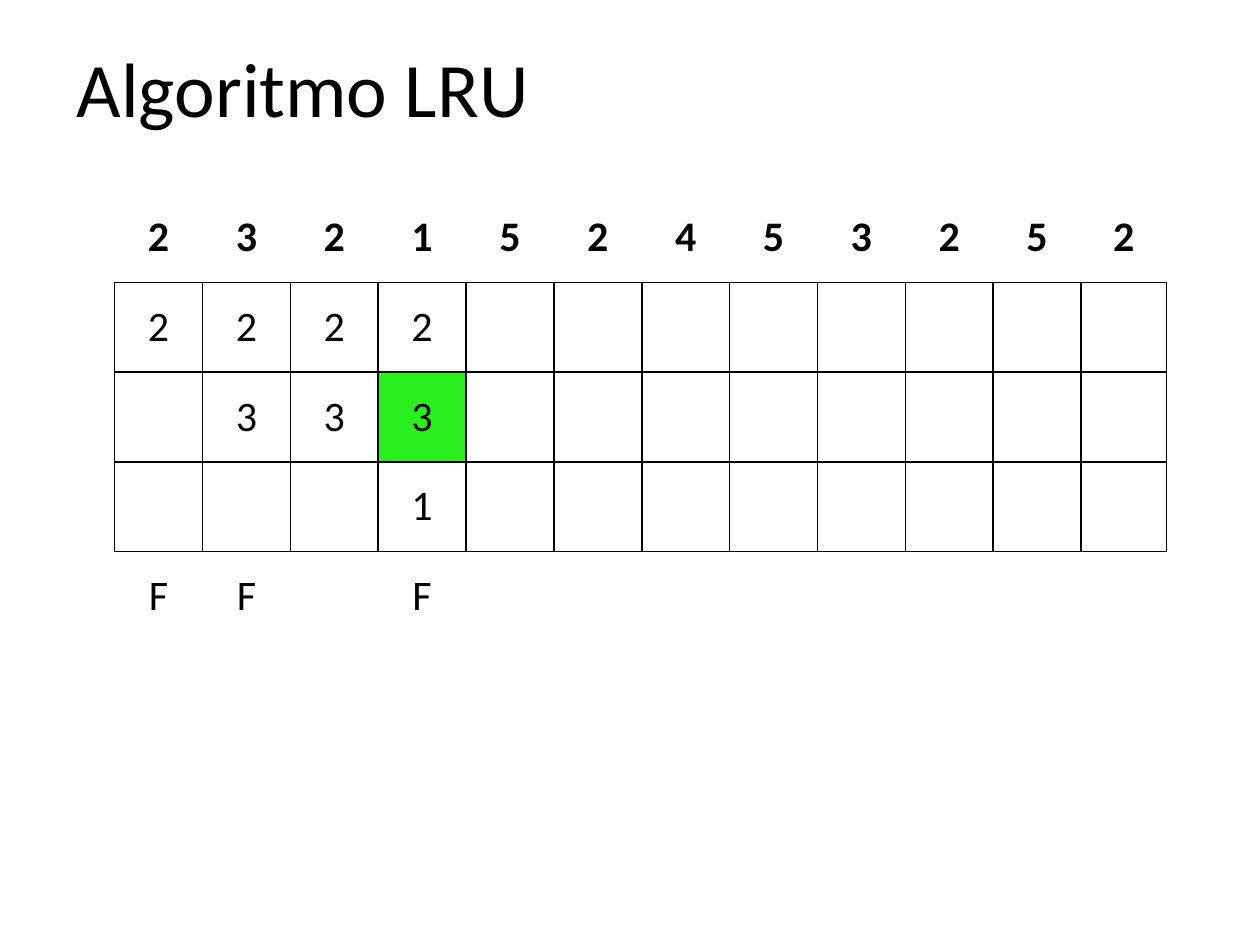
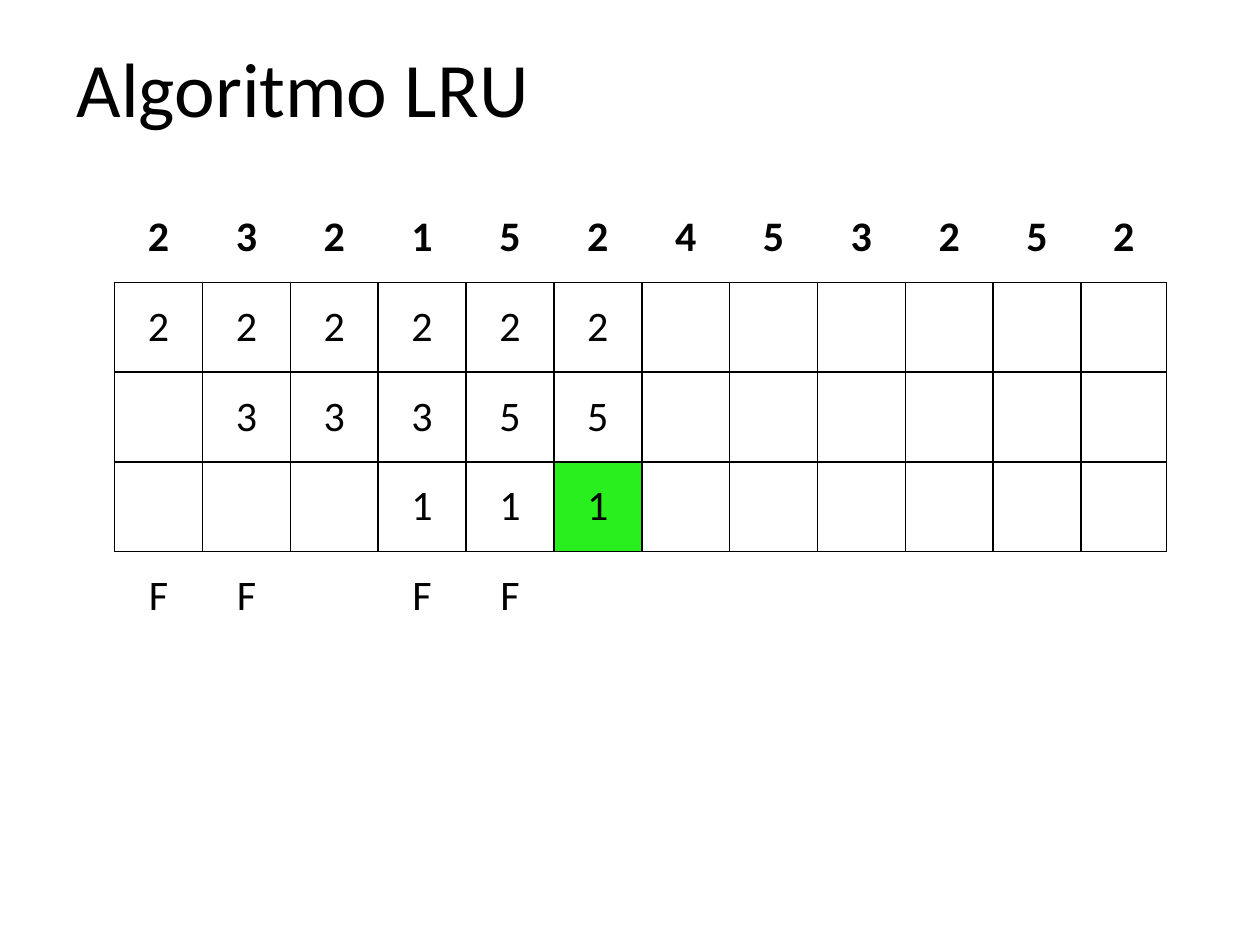
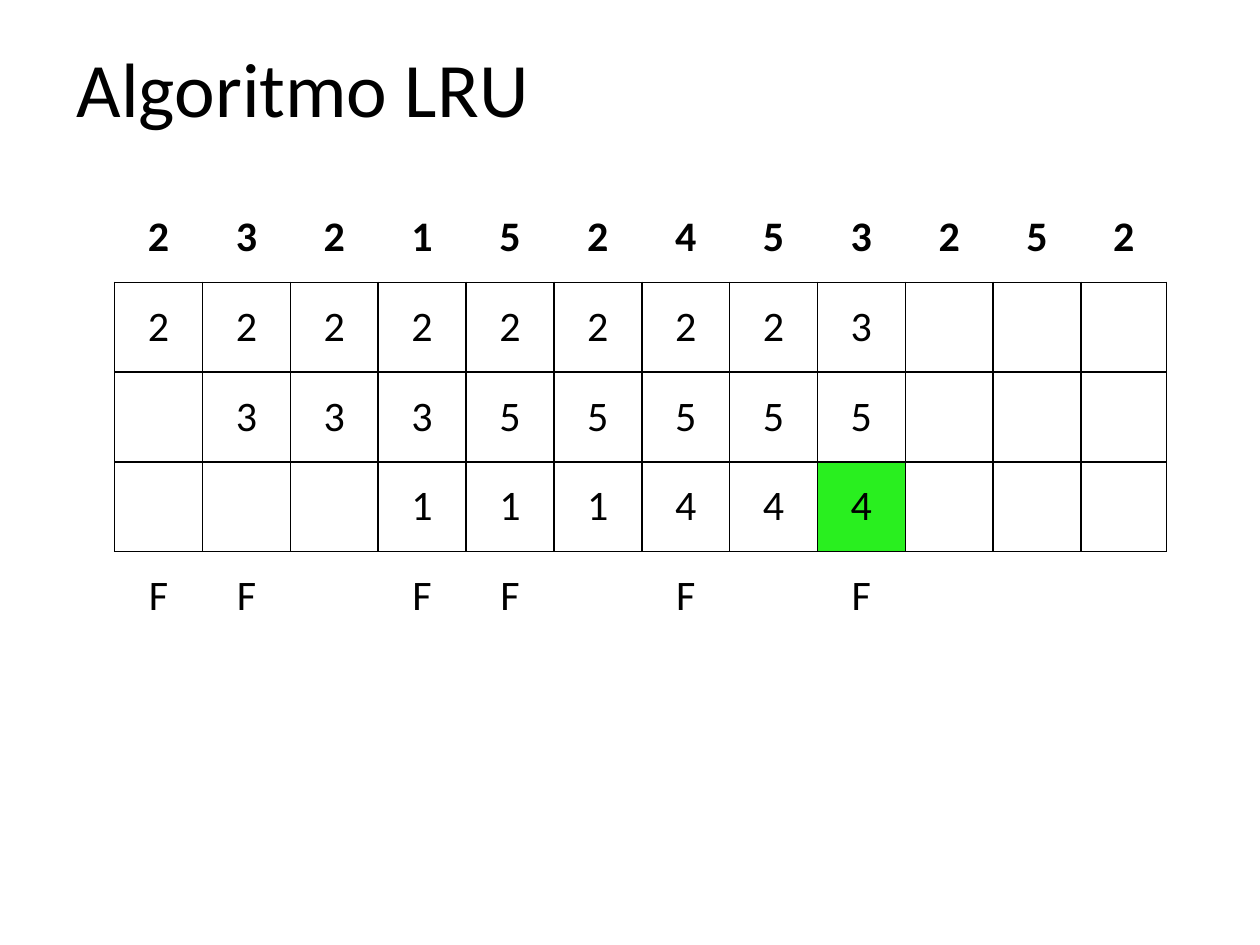
from lxml.etree import SubElement
from pptx import Presentation
from pptx.dml.color import RGBColor
from pptx.enum.text import MSO_ANCHOR, PP_ALIGN
from pptx.oxml.ns import qn
from pptx.util import Inches, Pt

FONT = "Calibri"
BLACK = "000000"
GREEN = "29EF1F"
TITLE = "Algoritmo LRU"
PAGES = "232152453252"
FRAMES = ["222222223", " 33355555", "   111444"]
FAULTS = "FF FF F F"
STEPS = [(4, 2), (6, 3), (9, 3)]
WIDTH, HEIGHT, LAST = 8.35, 3.56, 0.68
SIDES = {"head": "B", "body": "LRTB", "foot": "T"}


def color(code):
    """Turn a hex string into a colour."""
    return RGBColor.from_string(code)


def add_run(para, text, size, bold=False):
    """Add one styled run to a paragraph."""
    run = para.add_run()
    run.text = text
    run.font.name = FONT
    run.font.size = Pt(size)
    run.font.bold = bold
    run.font.color.rgb = color(BLACK)


def add_title(slide):
    """Place and fill the title."""
    title = slide.shapes.title
    title.left, title.top = Inches(0.51), Inches(0.29)
    title.width, title.height = Inches(4.96), Inches(0.79)
    frame = title.text_frame
    frame.vertical_anchor = MSO_ANCHOR.MIDDLE
    para = frame.paragraphs[0]
    para.alignment = PP_ALIGN.LEFT
    add_run(para, TITLE, 44)


def set_edges(cell, sides):
    """Draw the named cell sides and clear the others."""
    props = cell._tc.get_or_add_tcPr()
    for side in "LRTB":
        line = SubElement(props, qn(f"a:ln{side}"), w=str(Pt(1)))
        if side in sides:
            fill = SubElement(line, qn("a:solidFill"))
            SubElement(fill, qn("a:srgbClr"), val=BLACK)
        else:
            SubElement(line, qn("a:noFill"))


def fill_cell(cell, text, part, marked):
    """Style one cell and write its text."""
    set_edges(cell, SIDES[part])
    if marked:
        cell.fill.solid()
        cell.fill.fore_color.rgb = color(GREEN)
    else:
        cell.fill.background()
    cell.vertical_anchor = MSO_ANCHOR.MIDDLE
    para = cell.text_frame.paragraphs[0]
    para.alignment = PP_ALIGN.CENTER
    if text.strip():
        add_run(para, text, 24, part == "head")


def add_grid(slide, shown, victim):
    """Add the page table up to a step, marking the next victim."""
    rows = [PAGES] + [row[:shown].ljust(len(PAGES)) for row in FRAMES + [FAULTS]]
    parts = ["head"] + ["body"] * len(FRAMES) + ["foot"]
    grid = slide.shapes.add_table(
        len(rows), len(PAGES), Inches(0.91), Inches(1.53),
        Inches(WIDTH), Inches(HEIGHT)).table
    grid.first_row = grid.horz_banding = False
    for col in grid.columns:
        col.width = Inches((WIDTH - LAST) / (len(PAGES) - 1))
    grid.columns[len(PAGES) - 1].width = Inches(LAST)
    for y, (row, part) in enumerate(zip(rows, parts)):
        for x, text in enumerate(row):
            marked = (y, x) == (victim, shown - 1)
            fill_cell(grid.cell(y, x), text, part, marked)


def main():
    """Build the slides, one for each step."""
    deck = Presentation()
    deck.slide_width, deck.slide_height = Inches(10), Inches(7.5)
    for shown, victim in STEPS:
        slide = deck.slides.add_slide(deck.slide_layouts.get_by_name("Title Only"))
        add_title(slide)
        add_grid(slide, shown, victim)
    deck.save("out.pptx")


if __name__ == "__main__":
    main()
